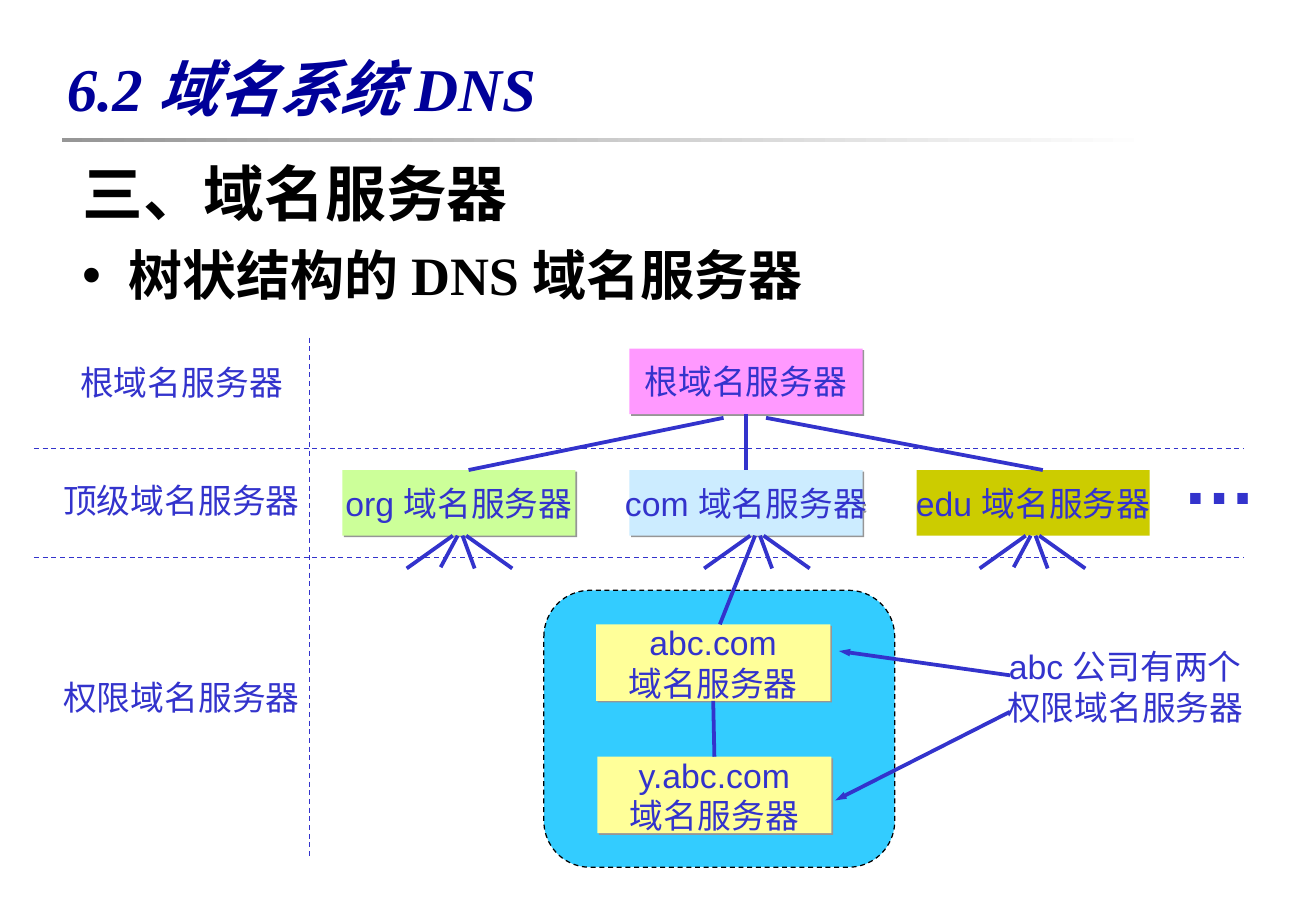
import pptx
import pptx.util
import pptx.dml.color
import pptx.enum.dml
import pptx.enum.shapes
import pptx.enum.text
import pptx.oxml
import pptx.oxml.ns
from lxml import etree

Inches, Pt = pptx.util.Inches, pptx.util.Pt
SHAPE = pptx.enum.shapes.MSO_SHAPE
ALIGN = pptx.enum.text.PP_ALIGN
ANCHOR = pptx.enum.text.MSO_ANCHOR
qn = pptx.oxml.ns.qn

# Content
TITLE = "6.2 域名系统 DNS"
BODY = [("三、域名服务器", 36, 9, None), ("树状结构的 DNS 域名服务器", 32, 8, "•")]
BLUE = "3333CC"
LEVELS = [("根域名服务器", 2.93), ("顶级域名服务器", 3.9), ("权限域名服务器", 5.52)]
TOP_SERVERS = [  # text, fill, shadow, centre of the fan below
    ("org 域名服务器", "CCFF99", True, 3.79),
    ("com 域名服务器", "CCECFF", True, 6.24),
    ("edu 域名服务器", "CCCC00", False, 8.51),
]
FAN = [(0.05, 0.43, 4.68), (0.02, 0.12, 4.68), (-0.06, -0.44, 4.68), (-0.02, -0.16, 4.67)]
ABC_TOP = (5.93, 5.14)
ROOT_BRANCHES = [(5.96, 3.86), (6.31, 8.59)]
DIVIDERS = [((0.28, 3.69), (10.25, 3.69)), ((0.28, 4.59), (10.25, 4.59)),
            ((2.55, 2.78), (2.55, 7.05))]
NOTE = ["abc 公司有两个", "权限域名服务器"]
NOTE_ARROWS = [((8.32, 5.56), (6.91, 5.36)), ((8.32, 5.86), (6.88, 6.59))]
BOX_W, BOX_H, TOP_Y, FAN_Y = 1.92, 0.54, 3.87, 4.41
TOP_X, TOP_STEP = 2.82, 2.365

prs = pptx.Presentation()
prs.slide_width, prs.slide_height = Inches(10.84), Inches(7.5)
slide = prs.slides.add_slide(prs.slide_layouts[1])


def rgb(color):
    return pptx.dml.color.RGBColor.from_string(color)


def style(p, size, font="Arial", color=BLUE, bold=False, italic=False):
    p.font.size, p.font.name = Pt(size), font
    p.font.bold, p.font.italic = bold, italic
    p.font.color.rgb = rgb(color)


def place(sp, left, top, width, height):
    sp.left, sp.top = Inches(left), Inches(top)
    sp.width, sp.height = Inches(width), Inches(height)


def write(sp, lines, size=20, align=ALIGN.CENTER, bold=False):
    tf = sp.text_frame
    tf.word_wrap = False
    tf.text = "\n".join(lines)
    for p in tf.paragraphs:
        p.alignment = align
        style(p, size, bold=bold)


def shape(kind, left, top, width, height):
    sp = slide.shapes.add_shape(kind, *map(Inches, (left, top, width, height)))
    sp.shadow.inherit = False
    sp.line.fill.background()
    return sp


def server(lines, left, top, width, height, fill, shadow=True):
    sp = shape(SHAPE.RECTANGLE, left, top, width, height)
    sp.fill.solid()
    sp.fill.fore_color.rgb = rgb(fill)
    write(sp, lines)
    sp.text_frame.vertical_anchor = ANCHOR.MIDDLE
    if shadow:
        effects = sp._element.spPr.find(qn("a:effectLst"))
        outer = etree.SubElement(effects, qn("a:outerShdw"), dist=str(Pt(1.4)),
                                 dir="2700000", algn="ctr", rotWithShape="0")
        etree.SubElement(outer, qn("a:srgbClr"), val="969696")
    return sp


def label(lines, left, top, width, height, **kw):
    sp = slide.shapes.add_textbox(*map(Inches, (left, top, width, height)))
    write(sp, lines, **kw)


def line(start, end, width=2.25, dash=False, arrow=False):
    cx = slide.shapes.add_connector(pptx.enum.shapes.MSO_CONNECTOR.STRAIGHT,
                                    *map(Inches, start + end))
    cx.line.width = Pt(width)
    cx.line.color.rgb = rgb(BLUE)
    if dash:
        cx.line.dash_style = pptx.enum.dml.MSO_LINE.DASH
    if arrow:
        etree.SubElement(cx.line._get_or_add_ln(), qn("a:tailEnd"),
                         type="triangle", w="sm", len="med")
    etree.SubElement(cx._element.spPr, qn("a:effectLst"))
    return cx


def join(upper, lower):
    cx = line((0, 0), (0, 0))
    cx.begin_connect(upper, 2)
    cx.end_connect(lower, 0)


# Title with its fading rule
rule = shape(SHAPE.RECTANGLE, 0.51, 1.14, 9, 0.03)
rule.fill.gradient()
rule.fill.gradient_angle = 0
for stop, color, position in zip(rule.fill.gradient_stops, ("969696", "FFFFFF"), (0, 1)):
    stop.color.rgb = rgb(color)
    stop.position = position

title = slide.shapes.title
place(title, 0.45, 0.28, 9.84, 0.87)
title.text_frame.text = TITLE
title.text_frame.vertical_anchor = ANCHOR.MIDDLE
p = title.text_frame.paragraphs[0]
p.alignment = ALIGN.LEFT
style(p, 36, "Times New Roman", "000099", bold=True, italic=True)

# Heading and bullet
body = slide.placeholders[1]
place(body, 0.58, 1.23, 9.87, 1.49)
tf = body.text_frame
tf.auto_size = pptx.enum.text.MSO_AUTO_SIZE.NONE
tf.text = "\n".join(item[0] for item in BODY)
for p, (_, size, before, bullet) in zip(tf.paragraphs, BODY):
    style(p, size, "Times New Roman", "000000", bold=True)
    p.space_before = Pt(before)
    pPr = p._p.get_or_add_pPr()
    pPr.set("marL", str(Inches(0.38)))
    pPr.set("indent", str(-Inches(0.38)))
    mark = pptx.oxml.parse_xml(
        '<a:%s xmlns:a="http://schemas.openxmlformats.org/drawingml/2006/main"/>'
        % ("buChar" if bullet else "buNone"))
    if bullet:
        mark.set("char", bullet)
    pPr.insert_element_before(mark, "a:tabLst", "a:defRPr", "a:extLst")

# Levels
for start, end in DIVIDERS:
    line(start, end, width=0.75, dash=True)
for text, top in LEVELS:
    label([text], 0.42, top, 2.15, 0.44)

# Company zone
zone = shape(SHAPE.ROUNDED_RECTANGLE, 4.48, 4.86, 2.89, 2.28)
zone.adjustments[0] = 0.167
zone.fill.solid()
zone.fill.fore_color.rgb = rgb("33CCFF")
zone.line.color.rgb = rgb("000000")
zone.line.width = Pt(0.75)
zone.line.dash_style = pptx.enum.dml.MSO_LINE.DASH

# Servers
root = server(["根域名服务器"], TOP_X + TOP_STEP, 2.87, BOX_W, BOX_H, "FF99FF")
tops = [server([text], TOP_X + i * TOP_STEP, TOP_Y, BOX_W, BOX_H, fill, shadow)
        for i, (text, fill, shadow, _) in enumerate(TOP_SERVERS)]
label(["…"], 9.64, 3.49, 0.81, 0.84, size=44, align=ALIGN.LEFT, bold=True)
abc = server(["abc.com", "域名服务器"], 4.91, 5.14, 1.93, 0.63, "FFFF99")
y_abc = server(["y.abc.com", "域名服务器"], 4.92, 6.23, 1.93, 0.63, "FFFF99")

# Branches
for x1, x2 in ROOT_BRANCHES:
    line((x1, 3.44), (x2, TOP_Y))
join(root, tops[1])
join(abc, y_abc)
for i, (_, _, _, center) in enumerate(TOP_SERVERS):
    for j, (dx1, dx2, y2) in enumerate(FAN):
        end = ABC_TOP if (i, j) == (1, 3) else (center + dx2, y2)
        line((center + dx1, FAN_Y), end)

# Note on the two company servers
label(NOTE, 8.18, 5.27, 2.18, 0.77)
for start, end in NOTE_ARROWS:
    line(start, end, arrow=True)

prs.save("out.pptx")
